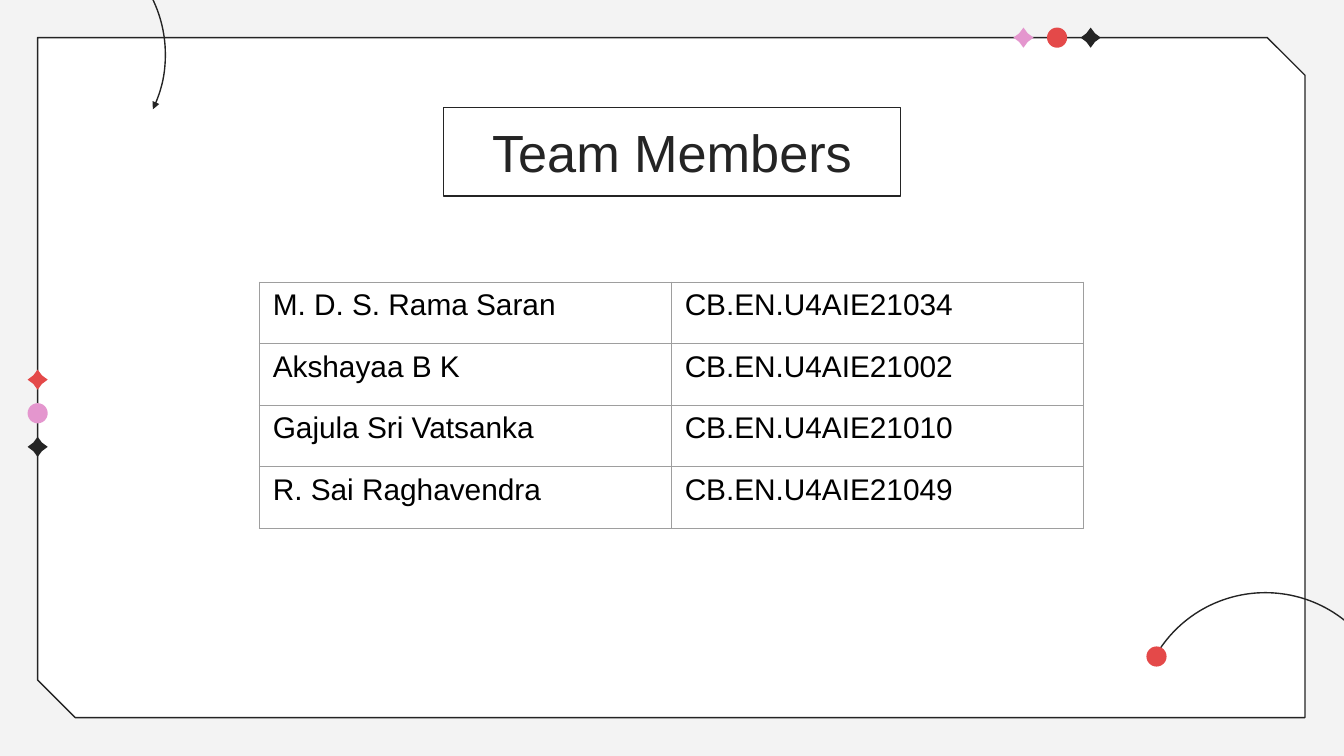
from dataclasses import dataclass

from lxml.etree import SubElement
from pptx import Presentation
from pptx.dml.color import RGBColor
from pptx.enum.shapes import MSO_SHAPE
from pptx.enum.text import MSO_ANCHOR, MSO_AUTO_SIZE, PP_ALIGN
from pptx.oxml import parse_xml
from pptx.oxml.ns import nsdecls, qn
from pptx.util import Inches, Pt


@dataclass(frozen=True)
class Theme:
    """Colours, font and sizes of the deck."""
    page: str = "F3F3F3"
    card: str = "FFFFFF"
    ink: str = "242424"
    red: str = "E44949"
    pink: str = "E496CE"
    grid: str = "9E9E9E"
    text: str = "000000"
    font: str = "Arial"
    title_size: int = 28
    body_size: int = 16
    line: float = 0.75


THEME = Theme()
MARK = 0.15
MARK_STEP = 0.25
SNIP = 0.28
MEMBERS = [
    ("M. D. S. Rama Saran", "CB.EN.U4AIE21034"),
    ("Akshayaa B K", "CB.EN.U4AIE21002"),
    ("Gajula Sri Vatsanka", "CB.EN.U4AIE21010"),
    ("R. Sai Raghavendra", "CB.EN.U4AIE21049"),
]


def rgb(value):
    """Turn a hex string into a colour."""
    return RGBColor.from_string(value)


def write(tf, text, *, size, color, align=PP_ALIGN.LEFT):
    """Write one formatted paragraph into a text frame."""
    p = tf.paragraphs[0]
    p.alignment = align
    r = p.add_run()
    r.text = text
    r.font.name = THEME.font
    r.font.size = Pt(size)
    r.font.bold = False
    r.font.color.rgb = rgb(color)


def draw(s, kind, box, *, fill=None, line=None, adjust=(), rotation=0):
    """Add a preset shape in a box given in inches."""
    sp = s.shapes.add_shape(kind, *map(Inches, box))
    sp.shadow.inherit = False
    sp.rotation = rotation
    for i, value in enumerate(adjust):
        sp.adjustments[i] = value
    if fill:
        sp.fill.solid()
        sp.fill.fore_color.rgb = rgb(fill)
    else:
        sp.fill.background()
    if line:
        sp.line.color.rgb = rgb(line)
        sp.line.width = Pt(THEME.line)
    else:
        sp.line.fill.background()
    return sp


def add_marks(s, left, top, colors, *, dx=0, dy=0):
    """Place a star, a dot and a star at equal steps."""
    kinds = (MSO_SHAPE.STAR_4_POINT, MSO_SHAPE.OVAL, MSO_SHAPE.STAR_4_POINT)
    for i, (kind, color) in enumerate(zip(kinds, colors)):
        adjust = (0.3,) if kind == MSO_SHAPE.STAR_4_POINT else ()
        draw(s, kind, (left + i * dx, top + i * dy, MARK, MARK),
             fill=color, adjust=adjust)


def add_arc(s, box, adjust, rotation):
    """Draw a curved arrow."""
    sp = draw(s, MSO_SHAPE.ARC, box, line=THEME.ink, adjust=adjust, rotation=rotation)
    SubElement(sp.line._get_or_add_ln(), qn("a:tailEnd"),
               type="triangle", w="sm", len="sm")


def add_frame(s, left, top, width, height):
    """Draw the snipped card with its marks and arcs."""
    draw(s, MSO_SHAPE.SNIP_2_DIAG_RECTANGLE, (left, top, width, height),
         fill=THEME.card, line=THEME.ink, adjust=(0, SNIP / height))
    add_marks(s, left - MARK / 2, top + 2.47,
              (THEME.red, THEME.pink, THEME.ink), dy=MARK_STEP)
    add_marks(s, left + 7.26, top - MARK / 2,
              (THEME.pink, THEME.red, THEME.ink), dx=MARK_STEP)
    add_arc(s, (left - 0.94, top - 0.82, 1.89, 1.89), (206.07, 123.35), 180)
    add_arc(s, (left + 8.19, top + 4.13, 1.89, 1.89), (162, 131.56), 300)
    draw(s, MSO_SHAPE.OVAL, (left + 8.25, top + 4.53, MARK, MARK),
         fill=THEME.red, rotation=120)


def add_title(s, text, left, top, width, height):
    """Format the title placeholder and bring it to the front."""
    sp = s.shapes.title
    sp.left, sp.top, sp.width, sp.height = map(Inches, (left, top, width, height))
    sp.line.color.rgb = rgb(THEME.ink)
    sp.line.width = Pt(THEME.line)
    tf = sp.text_frame
    tf.word_wrap = True
    tf.auto_size = MSO_AUTO_SIZE.NONE
    tf.vertical_anchor = MSO_ANCHOR.BOTTOM
    tf.margin_left = tf.margin_right = tf.margin_top = tf.margin_bottom = Inches(0.1)
    write(tf, text, size=THEME.title_size, color=THEME.ink, align=PP_ALIGN.CENTER)
    sp._element.getparent().append(sp._element)


def add_borders(cell):
    """Give a cell a thin line on all four sides."""
    tc_pr = cell._tc.get_or_add_tcPr()
    for i, side in enumerate("LRTB"):
        tc_pr.insert(i, parse_xml(
            f'<a:ln{side} {nsdecls("a")} w="{Pt(THEME.line)}"><a:solidFill>'
            f'<a:srgbClr val="{THEME.grid}"/></a:solidFill></a:ln{side}>'))


def add_members(s, rows, left, top, width, height):
    """Build the table of names and roll numbers."""
    box = map(Inches, (left, top, width, height))
    table = s.shapes.add_table(len(rows), len(rows[0]), *box).table
    table.first_row = table.horz_banding = False
    for i, row in enumerate(rows):
        for j, text in enumerate(row):
            cell = table.cell(i, j)
            cell.fill.background()
            add_borders(cell)
            write(cell.text_frame, text, size=THEME.body_size, color=THEME.text)


def main():
    """Build and save the slide."""
    prs = Presentation()
    prs.slide_width = Inches(10)
    prs.slide_height = prs.slide_width * 9 // 16
    s = prs.slides.add_slide(prs.slide_layouts[5])
    s.background.fill.solid()
    s.background.fill.fore_color.rgb = rgb(THEME.page)
    add_frame(s, 0.28, 0.28, 9.43, 5.06)
    add_title(s, "Team Members", 3.3, 0.8, 3.4, 0.66)
    add_members(s, MEMBERS, 1.93, 2.1, 6.13, 1.83)
    prs.save("out.pptx")


if __name__ == "__main__":
    main()
